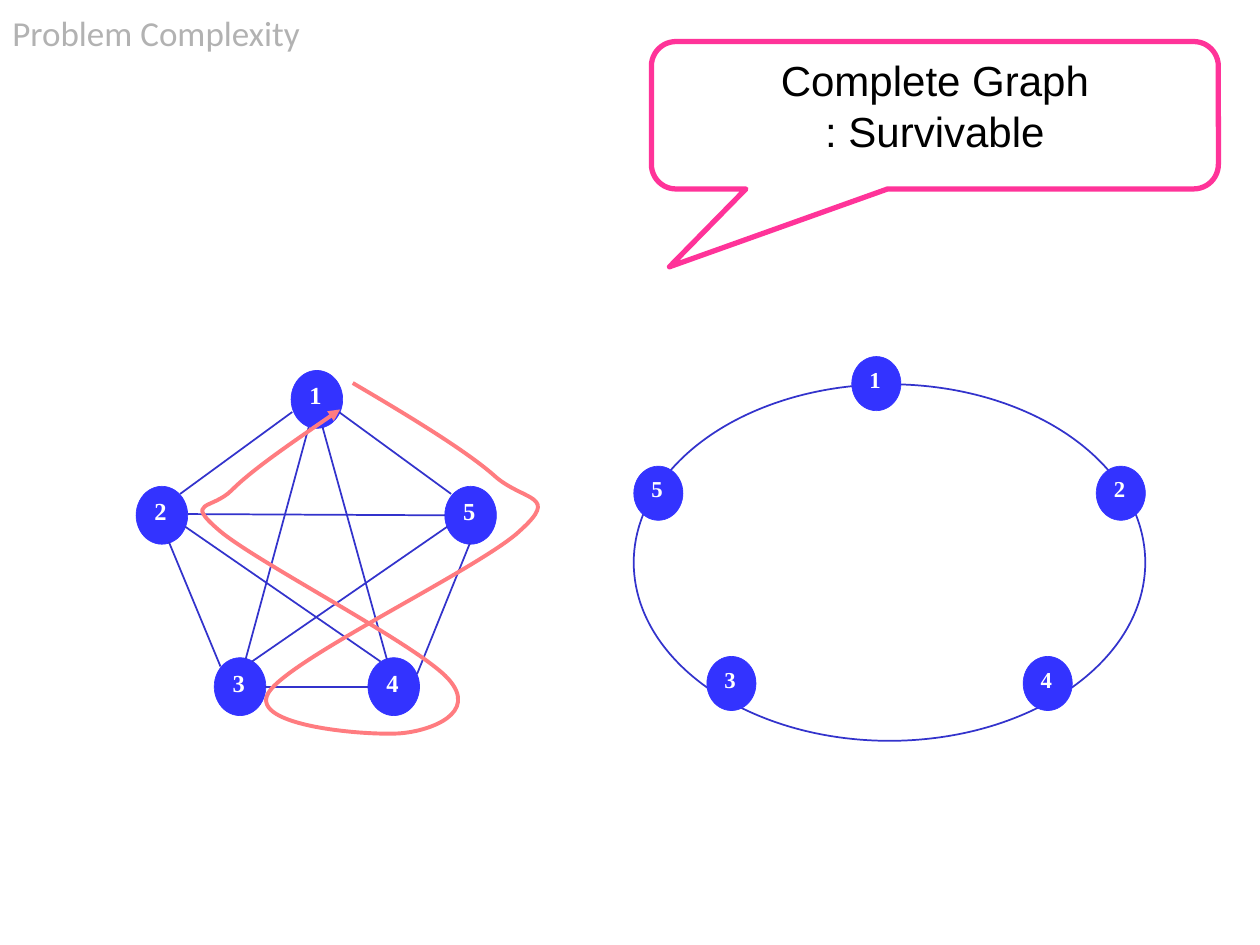
from lxml import etree
from pptx import Presentation
from pptx.dml.color import RGBColor
from pptx.enum.shapes import MSO_CONNECTOR, MSO_SHAPE
from pptx.enum.text import MSO_ANCHOR, PP_ALIGN
from pptx.oxml.ns import qn
from pptx.util import Pt

PX = 9144  # 100 px to the inch
OVAL = MSO_SHAPE.OVAL
CALLOUT = MSO_SHAPE.ROUNDED_RECTANGULAR_CALLOUT
STRAIGHT = MSO_CONNECTOR.STRAIGHT
TOP, MIDDLE = MSO_ANCHOR.TOP, MSO_ANCHOR.MIDDLE
CENTER = PP_ALIGN.CENTER

COLORS = {
    "node": "3333FF",
    "edge": "3333CC",
    "tour": "FF7C80",
    "callout": "FF3399",
    "title": "B2B2B2",
    "text": "000000",
    "number": "FFFFFF",
}


def rgb(name):
    return RGBColor.from_string(COLORS[name])


def add_outlined(preset, box, line_color, line_width):
    """Add an unfilled preset shape; box is left, top, width, height in px."""
    shape = slide.shapes.add_shape(preset, *[value * PX for value in box])
    shape.shadow.inherit = False
    shape.fill.background()
    shape.line.color.rgb = rgb(line_color)
    shape.line.width = Pt(line_width)
    return shape


presentation = Presentation()
presentation.slide_width = 1000 * PX
presentation.slide_height = 750 * PX
slide = presentation.slides.add_slide(presentation.slide_layouts[6])

# Nodes of both graphs, with the ring behind its own nodes
add_outlined(OVAL, (503, 305, 406, 283), "edge", 1)

complete_nodes = {"1": (231, 294), "4": (292, 522), "3": (170, 522),
                  "5": (353, 386), "2": (108, 386)}
ring_nodes = {"5": (503, 370), "3": (561, 521), "4": (812, 521),
              "2": (870, 370), "1": (676, 283)}

for nodes, size, font_size in ((complete_nodes, (41, 46), 14),
                               (ring_nodes, (39, 43), 13)):
    for number, corner in nodes.items():
        node = add_outlined(OVAL, corner + size, "node", 0.37)
        node.fill.solid()
        node.fill.fore_color.rgb = rgb("node")
        frame = node.text_frame
        frame.text = number
        frame.word_wrap = False
        frame.vertical_anchor = MIDDLE
        frame.margin_left = frame.margin_top = 0
        frame.margin_right, frame.margin_bottom = 2 * PX, 7 * PX
        paragraph = frame.paragraphs[0]
        paragraph.alignment = CENTER
        font = paragraph.runs[0].font
        font.name, font.size, font.bold = "Times New Roman", Pt(font_size), True
        font.color.rgb = rgb("number")

# Edges of the complete graph, trimmed at the node rims
edges = [
    (232, 327, 143, 392), (134, 430, 175, 529), (210, 545, 292, 545),
    (331, 535, 373, 431), (358, 392, 269, 327), (149, 408, 353, 409),
    (245, 339, 195, 523), (256, 339, 307, 523), (200, 525, 355, 418),
    (147, 418, 302, 525),
]
for edge in edges:
    connector = slide.shapes.add_connector(STRAIGHT, *[value * PX for value in edge])
    connector.line.color.rgb = rgb("edge")
    connector.line.width = Pt(1)
    etree.SubElement(connector._element.spPr, qn("a:effectLst"))

# Tour: a start point, then two control points and an end point per curve
tour_points = [
    (280, 304),
    (326, 331), (372, 359), (394, 379),
    (417, 398), (444, 393), (413, 421),
    (383, 450), (229, 523), (213, 550),
    (197, 577), (294, 584), (318, 582),
    (342, 580), (380, 566), (356, 539),
    (332, 512), (203, 446), (174, 421),
    (146, 397), (168, 405), (184, 389),
    (200, 373), (235, 349), (270, 325),
]
builder = slide.shapes.build_freeform(*tour_points[0], scale=PX)
builder.add_line_segments(tour_points[1:], close=False)
tour = builder.convert_to_shape()
tour.shadow.inherit = False
tour.fill.background()
tour.line.color.rgb = rgb("tour")
tour.line.width = Pt(2.25)
etree.SubElement(tour.line._get_or_add_ln(), qn("a:tailEnd"), type="triangle")

# Turn each three line segments into one cubic curve
outline = next(tour._element.iter(qn("a:path")))
segments = outline.findall(qn("a:lnTo"))
for start in range(0, len(segments), 3):
    curve = etree.SubElement(outline, qn("a:cubicBezTo"))
    for segment in segments[start:start + 3]:
        curve.append(segment[0])
        outline.remove(segment)

# Callout
callout = add_outlined(CALLOUT, (517, 33, 450, 117), "callout", 3)
for index, value in enumerate((-0.468, 1.028, 0.167)):
    callout.adjustments[index] = value
callout.text_frame.text = "Complete Graph\n: Survivable"
callout.text_frame.vertical_anchor = TOP
for paragraph in callout.text_frame.paragraphs:
    paragraph.alignment = CENTER
    font = paragraph.runs[0].font
    font.name, font.size = "Arial", Pt(24)
    font.color.rgb = rgb("text")

# Title
title = slide.shapes.add_textbox(0, 4 * PX, 250 * PX, 77 * PX)
title.text_frame.word_wrap = True
title.text_frame.text = "Problem Complexity"
font = title.text_frame.paragraphs[0].runs[0].font
font.name, font.size = "Calibri", Pt(20)
font.color.rgb = rgb("title")

presentation.save("out.pptx")
